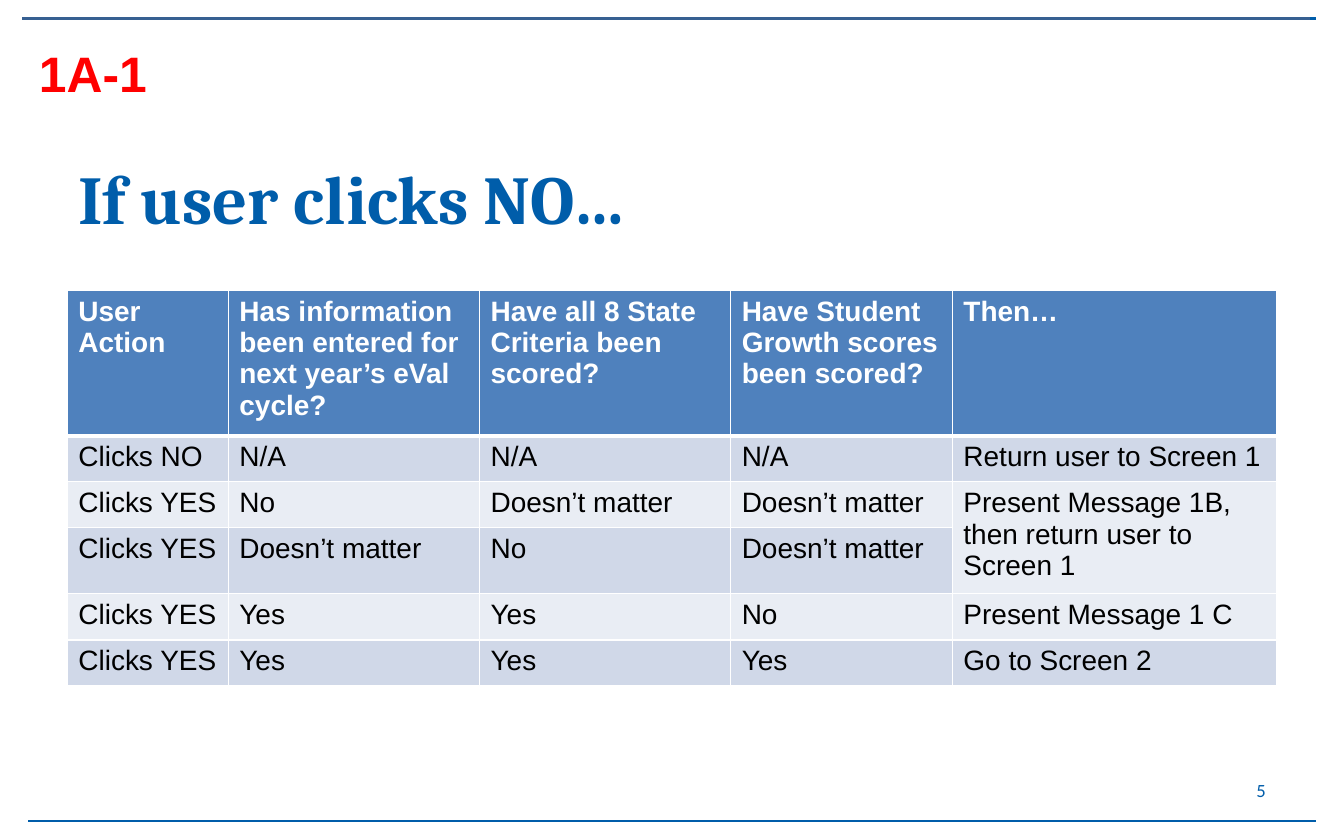
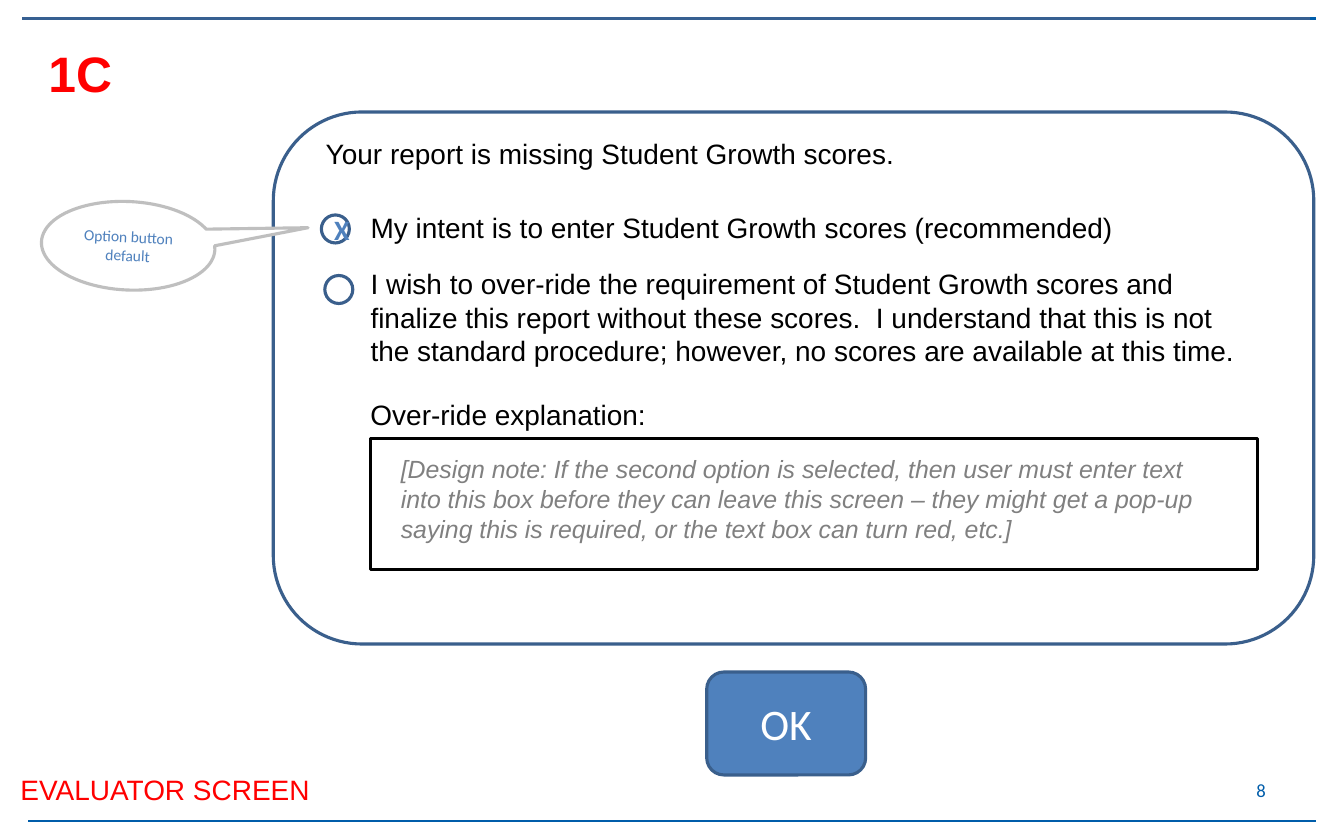
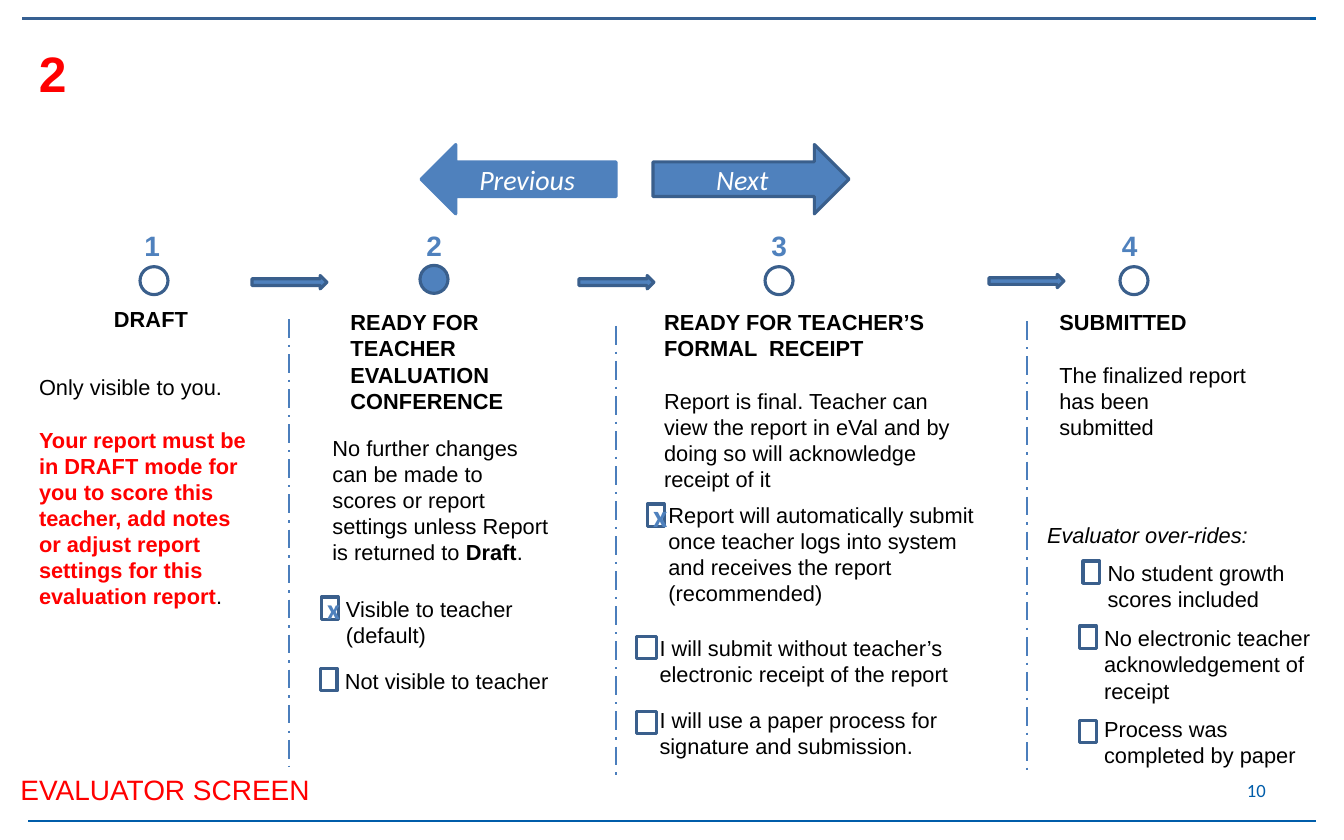
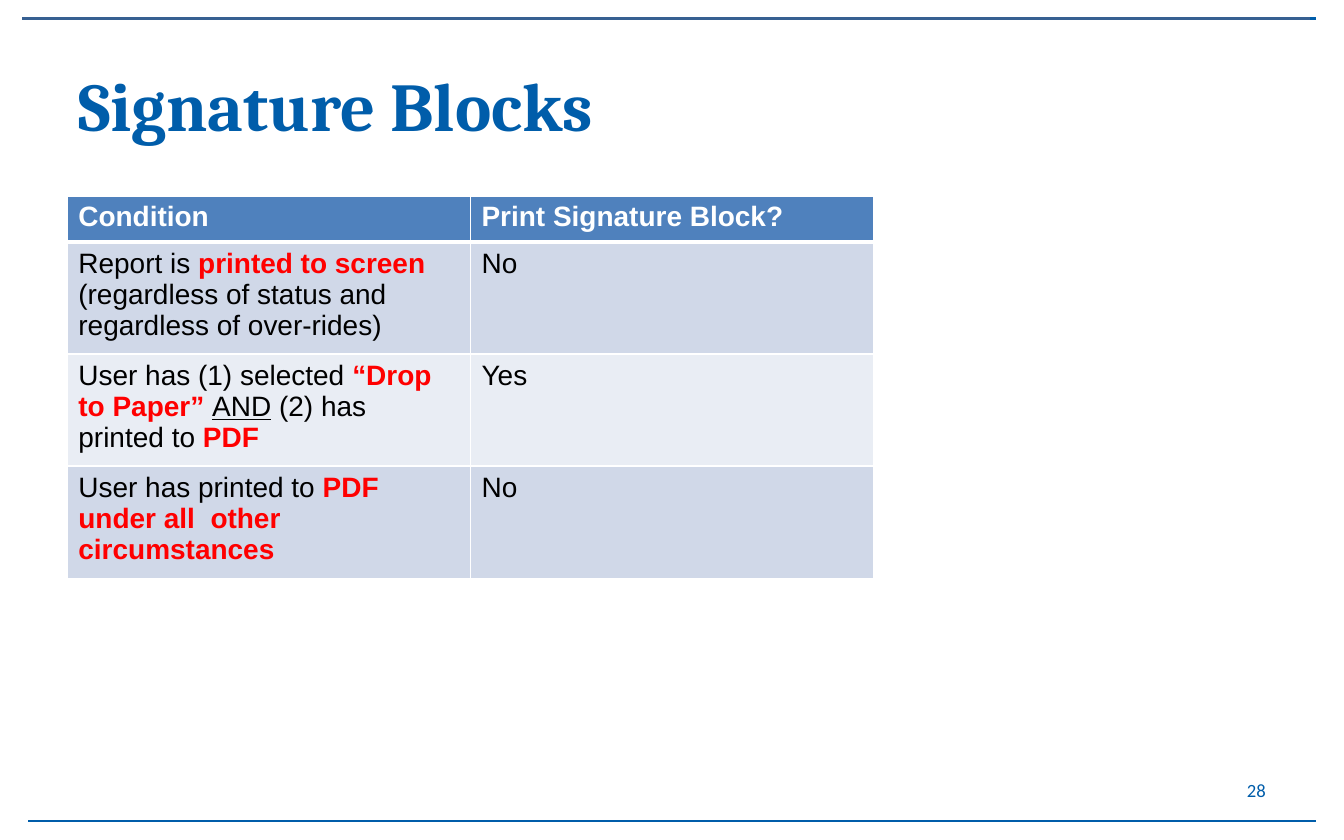
from dataclasses import dataclass
from typing import NamedTuple

from lxml import etree
from pptx import Presentation
from pptx.dml.color import RGBColor
from pptx.enum.dml import MSO_LINE
from pptx.enum.shapes import MSO_CONNECTOR, MSO_SHAPE
from pptx.enum.text import MSO_ANCHOR, PP_ALIGN
from pptx.oxml.ns import qn
from pptx.shapes.autoshape import Shape
from pptx.slide import Slide
from pptx.text.text import TextFrame
from pptx.util import Pt

BLUE = RGBColor(0x00, 0x5D, 0xAA)
STEEL = RGBColor(0x37, 0x60, 0x92)
ACCENT = RGBColor(0x4F, 0x81, 0xBD)
OUTLINE = RGBColor(0x3A, 0x5F, 0x8C)
DIVIDER = RGBColor(0x4B, 0x7E, 0xBC)
BAND_DARK = RGBColor(0xD0, 0xD8, 0xE8)
BAND_LIGHT = RGBColor(0xE9, 0xED, 0xF4)
RED = RGBColor(0xFF, 0x00, 0x00)
BLACK = RGBColor(0x00, 0x00, 0x00)
WHITE = RGBColor(0xFF, 0xFF, 0xFF)
GRAY = RGBColor(0x80, 0x80, 0x80)
SILVER = RGBColor(0xBF, 0xBF, 0xBF)

BODY, UI, HEADING = "Arial", "Calibri", "Cambria"
LEFT, CENTER, RIGHT = PP_ALIGN.LEFT, PP_ALIGN.CENTER, PP_ALIGN.RIGHT
TOP, MIDDLE = MSO_ANCHOR.TOP, MSO_ANCHOR.MIDDLE
STRAIGHT = MSO_CONNECTOR.STRAIGHT
DASH = MSO_LINE.LONG_DASH_DOT
RECT, ROUNDED, OVAL = MSO_SHAPE.RECTANGLE, MSO_SHAPE.ROUNDED_RECTANGLE, MSO_SHAPE.OVAL
NEXT, PREVIOUS = MSO_SHAPE.RIGHT_ARROW, MSO_SHAPE.LEFT_ARROW
CALLOUT = MSO_SHAPE.OVAL_CALLOUT
LEADING = 1.2


class Box(NamedTuple):
    """Left, top, width and height in points."""

    left: float
    top: float
    width: float
    height: float


class Run(NamedTuple):
    """A stretch of text that differs from its surroundings."""

    text: str
    bold: bool = False
    color: RGBColor = BLACK
    underline: bool = False


Paragraph = str | list[str | Run]


@dataclass(frozen=True)
class Step:
    """A numbered stage of the report process."""

    number: str
    number_left: float
    dot_left: float
    dot_top: float = 171.4
    fill: RGBColor = WHITE


@dataclass(frozen=True)
class Option:
    """A checkbox and its label."""

    left: float
    top: float
    label: str
    area: Box
    mark_size: float = 0
    width: float = 10.8


@dataclass(frozen=True)
class Note:
    """A body text box on the process slide."""

    area: Box
    paragraphs: list[Paragraph]
    bold: bool = False
    italic: bool = False
    wrap: bool = True


STEPS = [
    Step("1", 85.7, 90),
    Step("2", 267.1, 270, 170.6, ACCENT),
    Step("3", 488.9, 491.8),
    Step("4", 714.2, 720),
]

STEP_ARROWS = [(162, 177.1), (372.2, 177.1), (635.8, 176.4)]
DIVIDERS = [(185.8, 205.2), (396, 209.5), (660.2, 206.6)]

OPTIONS = [
    Option(206.6, 383.8, "Visible to teacher (default)", Box(215.3, 379.4, 144.7, 41), 18),
    Option(205.9, 429.8, "Not visible to teacher", Box(214.6, 425.5, 150, 24.5)),
    Option(696.2, 360.7, "No student growth scores included", Box(704.9, 356.4, 137.5, 41)),
    Option(694.1, 402.5, "No electronic teacher acknowledgement of receipt",
           Box(702.7, 398.2, 149, 58.3)),
    Option(694.1, 463, "Process was completed by paper", Box(702.7, 456.5, 149, 41)),
    Option(416.2, 324, "Report will automatically submit once teacher logs into system "
           "and receives the report (recommended)", Box(422.6, 319, 217.4, 74.9), 20),
    Option(409, 409, "I will submit without teacher’s electronic receipt of the report",
           Box(416.9, 404.6, 236.9, 41), width=13),
    Option(409, 457.2, "I will use a paper process for signature and submission.",
           Box(416.9, 450.7, 236.9, 41), width=13),
]

NOTES = [
    Note(Box(66.2, 193, 64.1, 24.5), ["DRAFT"], bold=True),
    Note(Box(218.2, 195.1, 159.8, 74.9), ["READY FOR TEACHER EVALUATION CONFERENCE"], bold=True),
    Note(Box(419.8, 195.1, 208.1, 126), [
        [Run("READY FOR TEACHER’S FORMAL  RECEIPT", True)],
        "Report is final. Teacher can view the report in eVal and by doing so "
        "will acknowledge receipt of it",
    ]),
    Note(Box(673.9, 195.1, 136.1, 74.9), [
        [Run("SUBMITTED", True)],
        "The finalized report has been submitted",
    ]),
    Note(Box(206.6, 275.8, 154.8, 92.2), [[
        "No further changes can be made to scores or report  settings "
        "unless Report is returned to ", Run("Draft", True), ".",
    ]]),
    Note(Box(666, 331.9, 147.6, 24.5), ["Evaluator over-rides:"], italic=True, wrap=False),
    Note(Box(18, 236.9, 149.8, 177.1), [
        "Only visible to you.",
        [Run("Your report must be in DRAFT mode for you to score this teacher, add notes "
             "or adjust report settings for this evaluation report", True, RED), "."],
    ]),
]

ACTION_ROWS: list[list[Paragraph]] = [
    ["User Action", "Has information been entered for next year’s eVal cycle?",
     "Have all 8 State Criteria been scored?", "Have Student Growth scores been scored?",
     "Then…"],
    ["Clicks NO", "N/A", "N/A", "N/A", "Return user to Screen 1"],
    ["Clicks YES", "No", "Doesn’t matter", "Doesn’t matter",
     "Present Message 1B, then return user to Screen 1"],
    ["Clicks YES", "Doesn’t matter", "No", "Doesn’t matter", ""],
    ["Clicks YES", "Yes", "Yes", "No", "Present Message 1 C"],
    ["Clicks YES", "Yes", "Yes", "Yes", "Go to Screen 2"],
]

SIGNATURE_ROWS: list[list[Paragraph]] = [
    ["Condition", "Print Signature Block?"],
    [["Report is ", Run("printed to screen ", True, RED),
      "(regardless of status and regardless of over-rides)"], "No"],
    [["User has (1) selected ", Run("“Drop to Paper” ", True, RED),
      Run("AND", underline=True), " (2) has printed to ", Run("PDF", True, RED)], "Yes"],
    [["User has printed to ", Run("PDF under all  other circumstances", True, RED)], "No"],
]


def write(tf: TextFrame, paragraphs: list[Paragraph], *, size: float = 18, font: str = BODY,
          color: RGBColor = BLACK, bold: bool = False, italic: bool = False,
          align: PP_ALIGN = LEFT, leading: float = 0, gap: float = 0) -> None:
    """Fill a text frame with formatted paragraphs."""
    for index, content in enumerate(paragraphs):
        p = tf.add_paragraph() if index else tf.paragraphs[0]
        p.alignment = align
        if leading:
            p.line_spacing = Pt(leading)
        if index and gap:
            p.space_before = Pt(gap)
        for part in [content] if isinstance(content, str) else content:
            run = part if isinstance(part, Run) else Run(part, bold, color)
            r = p.add_run()
            r.text = run.text
            r.font.name, r.font.size = font, Pt(size)
            r.font.bold, r.font.italic = run.bold, italic
            r.font.underline = run.underline
            r.font.color.rgb = run.color


def add_text(s: Slide, area: Box, paragraphs: list[Paragraph], *, anchor: MSO_ANCHOR = TOP,
             wrap: bool = True, **style) -> None:
    """Add a text box."""
    tf = s.shapes.add_textbox(*map(Pt, area)).text_frame
    tf.word_wrap, tf.vertical_anchor = wrap, anchor
    write(tf, paragraphs, **style)


def add_body(s: Slide, area: Box, paragraphs: list[Paragraph], size: float = 18,
             **style) -> None:
    """Add a text box with body line spacing and one line between paragraphs."""
    line = round(size * LEADING, 2)
    add_text(s, area, paragraphs, size=size, leading=line, gap=line, **style)


def add_box(s: Slide, kind: MSO_SHAPE, area: Box, *, fill: RGBColor = WHITE,
            line: RGBColor | None = OUTLINE, text: str = "", anchor: MSO_ANCHOR = MIDDLE,
            align: PP_ALIGN = CENTER, **style) -> Shape:
    """Add a flat preset shape, with text if given."""
    sp = s.shapes.add_shape(kind, *map(Pt, area))
    sp.shadow.inherit = False
    sp.fill.solid()
    sp.fill.fore_color.rgb = fill
    if line is None:
        sp.line.fill.background()
    else:
        sp.line.color.rgb, sp.line.width = line, Pt(2)
    if text:
        sp.text_frame.vertical_anchor = anchor
        write(sp.text_frame, [text], align=align, **style)
    return sp


def add_line(s: Slide, x1: float, y1: float, x2: float, y2: float, color: RGBColor,
             dash: MSO_LINE | None = None) -> None:
    """Add a straight line without a shadow."""
    line = s.shapes.add_connector(STRAIGHT, Pt(x1), Pt(y1), Pt(x2), Pt(y2))
    line.line.color.rgb, line.line.width = color, Pt(1.5)
    if dash is not None:
        line.line.dash_style = dash
    etree.SubElement(line._element.spPr, qn("a:effectLst"))


def border_cell(cell, top: float, bottom: float) -> None:
    """Give a table cell white borders."""
    tc_pr = cell._tc.get_or_add_tcPr()
    sides = {"a:lnL": 1, "a:lnR": 1, "a:lnT": top, "a:lnB": bottom}
    for index, (tag, width) in enumerate(sides.items()):
        ln = etree.Element(qn(tag), w=str(Pt(width)))
        fill = etree.SubElement(ln, qn("a:solidFill"))
        etree.SubElement(fill, qn("a:srgbClr"), val=str(WHITE))
        tc_pr.insert(index, ln)


def add_grid(s: Slide, left: float, top: float, widths: list[float],
             rows: list[list[Paragraph]], row_height: float = 29.6):
    """Add a banded table with a header row."""
    area = Box(left, top, sum(widths), row_height * len(rows))
    table = s.shapes.add_table(len(rows), len(widths), *map(Pt, area)).table
    for column, width in zip(table.columns, widths):
        column.width = Pt(width)
    for i, row in enumerate(rows):
        fill = BAND_DARK if i % 2 else BAND_LIGHT
        for j, content in enumerate(row):
            cell = table.cell(i, j)
            cell.fill.solid()
            cell.fill.fore_color.rgb = fill if i else ACCENT
            border_cell(cell, 3 if i == 1 else 1, 1 if i else 3)
            if content:
                write(cell.text_frame, [content], color=BLACK if i else WHITE, bold=not i)
    return table


def add_title(s: Slide, text: str, top: float) -> None:
    """Add a slide title."""
    add_text(s, Box(43.2, top, 777.6, 90), [text], anchor=MIDDLE, size=44, font=HEADING,
             color=BLUE, bold=True)


def add_code(s: Slide, text: str, left: float = 18) -> None:
    """Add the red screen code at the top left."""
    add_body(s, Box(left, 24, 102, 46), [text], 32, color=RED, bold=True)


def add_evaluator_tag(s: Slide) -> None:
    """Add the evaluator label at the bottom left."""
    add_box(s, RECT, Box(6, 493.2, 240, 28.8), line=None, text="EVALUATOR SCREEN",
            anchor=TOP, align=LEFT, color=RED, leading=18 * LEADING)


def new_slide(prs: Presentation, number: int) -> Slide:
    """Add a slide with its rules and page number."""
    s = prs.slides.add_slide(prs.slide_layouts[6])
    add_line(s, 18, 12, 846, 12, BLUE)
    add_line(s, 18, 528, 846, 528, BLUE)
    add_line(s, 14.4, 12, 842.4, 12, STEEL)
    add_text(s, Box(619.2, 493.2, 201.6, 28.8), [str(number)], anchor=MIDDLE, size=12,
             font=UI, color=BLUE, align=RIGHT)
    return s


def build_no_click(prs: Presentation) -> None:
    """Build the table of outcomes after the user's click."""
    s = new_slide(prs, 5)
    add_title(s, "If user clicks NO…", 82)
    table = add_grid(s, 43.2, 186.5, [103.5, 161.5, 161.5, 142.5, 208.5], ACTION_ROWS)
    table.cell(2, 4).merge(table.cell(3, 4))
    add_code(s, "1A-1")


def build_missing_scores(prs: Presentation) -> None:
    """Build the message about missing scores."""
    s = new_slide(prs, 8)
    add_box(s, ROUNDED, Box(175.7, 72, 668.9, 342))
    add_code(s, "1C", 24)
    add_body(s, Box(202.3, 84.2, 642.2, 28.8), ["Your report is missing Student Growth scores."])
    add_body(s, Box(231.1, 131.8, 583.9, 28.8),
             ["My intent is to enter Student Growth scores (recommended)"])
    add_body(s, Box(231.1, 167.8, 583.9, 72.7), [
        "I wish to over-ride the requirement of Student Growth scores and finalize this "
        "report without these scores.  I understand that this is not the standard "
        "procedure; however, no scores are available at this time."])
    add_box(s, OVAL, Box(206.6, 138.2, 18, 18), text="X", font=UI, color=ACCENT, bold=True)
    add_box(s, OVAL, Box(208.8, 177.1, 18, 18))
    add_body(s, Box(231.1, 252, 205.9, 30.2), ["Over-ride explanation:"])
    add_box(s, RECT, Box(238.3, 282.2, 570.2, 84.2), line=BLACK)
    add_body(s, Box(250.6, 288, 545.8, 65.5), [
        "[Design note: If the second option is selected, then user must enter text into "
        "this box before they can leave this screen – they might get a pop-up saying this "
        "is required, or the text box can turn red, etc.]"], 16, color=GRAY, italic=True)
    add_box(s, ROUNDED, Box(454.3, 432, 102.2, 66.2), fill=ACCENT, text="OK", size=28,
            font=UI, color=WHITE)
    callout = add_box(s, CALLOUT, Box(26.6, 129.6, 111.6, 56.9), line=SILVER,
                      text="Option button default", size=10, font=UI, color=ACCENT)
    callout.adjustments[0], callout.adjustments[1] = 1.03, -0.3
    callout.rotation = 2.7
    add_evaluator_tag(s)


def build_process(prs: Presentation) -> None:
    """Build the four-step report process."""
    s = new_slide(prs, 10)
    button = dict(fill=ACCENT, font=UI, color=WHITE, italic=True)
    add_box(s, NEXT, Box(419.8, 92.9, 126, 44.6), text="Next", **button)
    add_box(s, PREVIOUS, Box(270.7, 92.9, 125.3, 44.6), line=ACCENT, text="Previous", **button)
    for step in STEPS:
        add_body(s, Box(step.number_left, 143.3, 33.1, 28.8), [step.number],
                 color=ACCENT, bold=True)
        add_box(s, OVAL, Box(step.dot_left, step.dot_top, 18, 18), fill=step.fill)
    for left, top in STEP_ARROWS:
        add_box(s, NEXT, Box(left, top, 48.2, 8.6), fill=ACCENT)
    for x, top in DIVIDERS:
        add_line(s, x, top, x, 498.2, DIVIDER, DASH)
    for note in NOTES:
        add_body(s, note.area, note.paragraphs, 14, bold=note.bold, italic=note.italic,
                 wrap=note.wrap)
    for option in OPTIONS:
        add_box(s, RECT, Box(option.left, option.top, option.width, 14.4),
                text="x" if option.mark_size else "", size=option.mark_size, font=UI,
                color=ACCENT, bold=True)
        add_body(s, option.area, [option.label], 14)
    add_code(s, "2")
    add_evaluator_tag(s)


def build_signatures(prs: Presentation) -> None:
    """Build the table of signature block conditions."""
    s = new_slide(prs, 28)
    add_grid(s, 43.2, 126, [259.2, 259.2], SIGNATURE_ROWS)
    add_title(s, "Signature Blocks", 21.6)


def main() -> None:
    """Build and save the slides."""
    prs = Presentation()
    prs.slide_width, prs.slide_height = Pt(864), Pt(540)
    build_no_click(prs)
    build_missing_scores(prs)
    build_process(prs)
    build_signatures(prs)
    prs.save("out.pptx")


if __name__ == "__main__":
    main()
